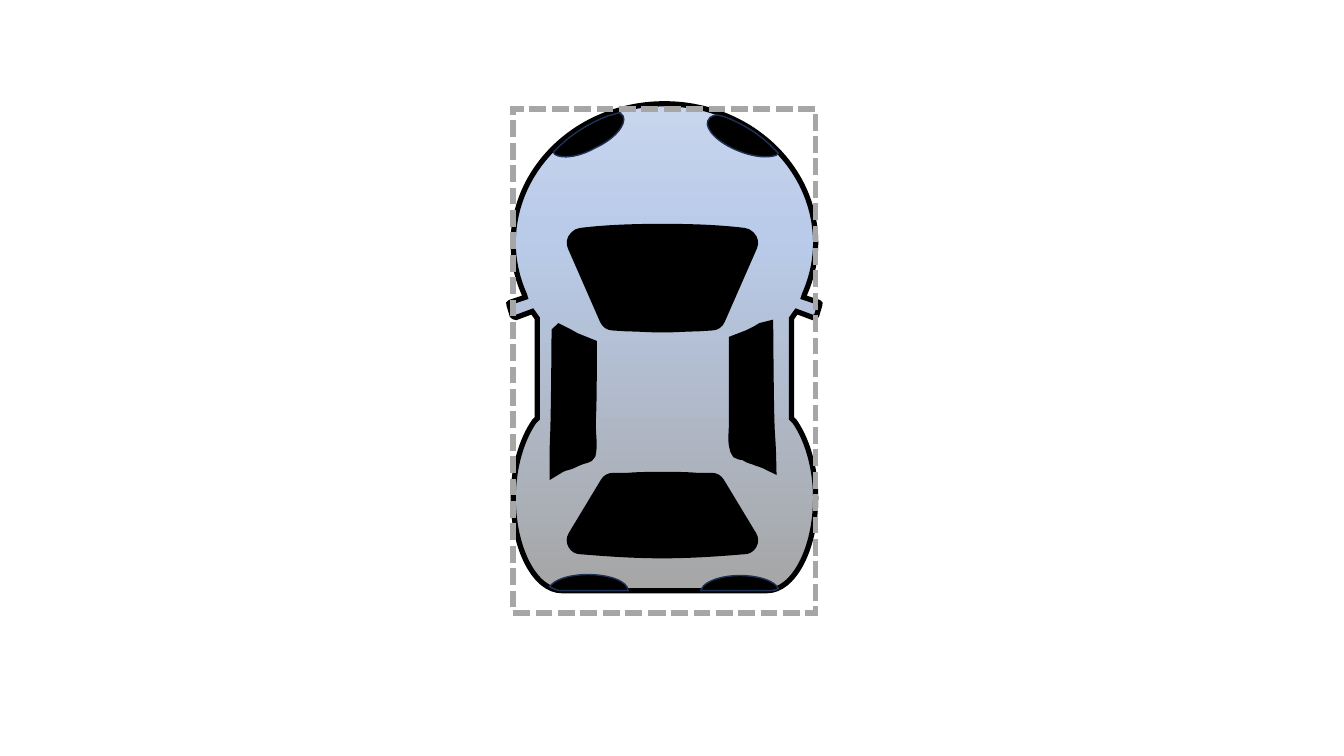
from copy import deepcopy
from dataclasses import dataclass

from lxml import etree
from pptx import Presentation
from pptx.dml.color import RGBColor
from pptx.enum.dml import MSO_LINE
from pptx.enum.shapes import MSO_SHAPE
from pptx.oxml.ns import qn
from pptx.util import Inches, Pt

RECTANGLE = MSO_SHAPE.RECTANGLE
SHORT_DASH = MSO_LINE.SQUARE_DOT


@dataclass(frozen=True)
class Theme:
    black: str = "000000"
    frame: str = "A6A6A6"
    light_edge: str = "1E3256"
    paint: tuple = ((0, "A6A6A6"), (0.73, "B9CBE9"), (1, "C7D5ED"))
    paint_angle: int = 90


def pairs(segment):
    return list(zip(segment[::2], segment[1::2]))


def symmetric(half, axis):
    """Close a half outline, running from axis to axis, with its mirror image."""
    points = [pairs(segment) for segment in half]
    outline = list(half)
    for previous, current in reversed(list(zip(points, points[1:]))):
        back = current[-2::-1] + [previous[-1]]
        outline.append(tuple(v for x, y in back for v in (2 * axis - x, y)))
    return outline


class CarSlide:
    def __init__(self, prs, theme):
        self.theme = theme
        self.shapes = prs.slides.add_slide(prs.slide_layouts[6]).shapes

    def outline(self, sp, color, width, join="miter"):
        sp.shadow.inherit = False
        sp.line.color.rgb = RGBColor.from_string(color)
        sp.line.width = Pt(width)
        ln = sp._element.spPr.find(qn("a:ln"))
        corner = etree.SubElement(ln, qn("a:" + join))
        if join == "miter":
            corner.set("lim", "800000")

    def curve(self, contours, color, width, join="miter"):
        builder = None
        for start, *segments in contours:
            x, y = map(Inches, start)
            if builder is None:
                builder = self.shapes.build_freeform(x, y)
            else:
                builder.move_to(x, y)
            points = [point for segment in segments for point in pairs(segment)]
            builder.add_line_segments([(Inches(px), Inches(py)) for px, py in points])
        sp = builder.convert_to_shape()
        steps = iter(list(sp._element.iter(qn("a:lnTo"))))
        for _, *segments in contours:
            for segment in segments:
                run = [next(steps) for _ in pairs(segment)]
                if len(run) == 3:
                    bezier = etree.Element(qn("a:cubicBezTo"))
                    run[0].addprevious(bezier)
                    for step in run:
                        bezier.append(step[0])
                        step.getparent().remove(step)
        sp.fill.solid()
        sp.fill.fore_color.rgb = RGBColor.from_string(self.theme.black)
        self.outline(sp, color, width, join)
        return sp

    def body(self, contour):
        sp = self.curve([contour], self.theme.black, 3.75)
        sp.fill.gradient()
        sp.fill.gradient_angle = self.theme.paint_angle
        stops = sp._element.spPr.find(".//" + qn("a:gsLst"))
        stops.append(deepcopy(stops[0]))
        for stop, (position, color) in zip(sp.fill.gradient_stops, self.theme.paint):
            stop.position = position
            stop.color.rgb = RGBColor.from_string(color)

    def frame(self, x, y, w, h):
        sp = self.shapes.add_shape(RECTANGLE, Inches(x), Inches(y), Inches(w), Inches(h))
        sp.fill.background()
        sp.line.dash_style = SHORT_DASH
        self.outline(sp, self.theme.frame, 4)

    def glass(self, contour):
        self.curve([contour], self.theme.black, 20, "round")

    def side_windows(self, contours):
        self.curve(contours, self.theme.black, 10)

    def lights(self, contours):
        self.curve(contours, self.theme.light_edge, 1)


BODY_AXIS = 6.59
GLASS_AXIS = 6.57

BODY_HALF = [
    (6.59, 1.03),
    (7.42, 1.03, 8.09, 1.65, 8.09, 2.41),
    (8.09, 2.59, 8.05, 2.76, 7.98, 2.92),
    (7.97, 2.95),
    (8.12, 3),
    (8.13, 3, 8.14, 3.02, 8.13, 3.03),
    (8.1, 3.13),
    (8.09, 3.14, 8.08, 3.15, 8.06, 3.15),
    (7.9, 3.09),
    (7.85, 3.16),
    (7.85, 4.15),
    (7.88, 4.18),
    (8, 4.35, 8.09, 4.63, 8.09, 4.94),
    (8.09, 5.45, 7.87, 5.86, 7.61, 5.86),
    (6.59, 5.86),
]
WINDSHIELD_HALF = [
    (6.57, 2.36),
    (6.86, 2.36, 7.13, 2.37, 7.37, 2.4),
    (7.38, 2.41),
    (7.06, 3.14),
    (6.91, 3.15),
    (6.8, 3.15, 6.69, 3.16, 6.57, 3.16),
]
REAR_WINDOW_HALF = [
    (6.57, 5.4),
    (6.86, 5.4, 7.13, 5.38, 7.37, 5.36),
    (7.38, 5.36),
    (7.06, 4.83),
    (6.91, 4.83),
    (6.8, 4.82, 6.69, 4.82, 6.57, 4.82),
]
SIDE_WINDOWS = [
    [
        (5.55, 3.29), (5.63, 3.33), (5.7, 3.37), (5.85, 3.43),
        (5.85, 3.67, 5.85, 4.01, 5.84, 4.18),
        (5.84, 4.36, 5.86, 4.4, 5.84, 4.5),
        (5.83, 4.53, 5.78, 4.53, 5.76, 4.54),
        (5.73, 4.55, 5.71, 4.56, 5.67, 4.58),
        (5.63, 4.6, 5.57, 4.6, 5.52, 4.64),
        (5.52, 4.17, 5.53, 4.66, 5.54, 3.3),
    ],
    [
        (7.6, 3.26),
        (7.61, 4.63, 7.62, 4.14, 7.63, 4.6),
        (7.58, 4.57, 7.52, 4.56, 7.48, 4.54),
        (7.44, 4.53, 7.42, 4.52, 7.39, 4.5),
        (7.36, 4.49, 7.32, 4.5, 7.31, 4.46),
        (7.28, 4.36, 7.3, 4.33, 7.3, 4.15),
        (7.3, 3.97, 7.3, 3.63, 7.3, 3.39),
        (7.43, 3.34), (7.51, 3.3), (7.56, 3.27),
    ],
]
HEADLIGHTS = [
    [
        (7.11, 1.14), (7.19, 1.16),
        (7.37, 1.23, 7.53, 1.33, 7.66, 1.46),
        (7.72, 1.52), (7.7, 1.54),
        (7.62, 1.57, 7.48, 1.56, 7.33, 1.5),
        (7.12, 1.42, 6.99, 1.28, 7.02, 1.2),
        (7.03, 1.17, 7.05, 1.16, 7.07, 1.15),
    ],
    [
        (6.14, 1.12), (6.15, 1.12),
        (6.16, 1.13, 6.17, 1.14, 6.18, 1.15),
        (6.22, 1.23, 6.1, 1.38, 5.9, 1.47),
        (5.74, 1.56, 5.57, 1.58, 5.5, 1.53),
        (5.49, 1.51), (5.56, 1.44),
        (5.69, 1.32, 5.85, 1.22, 6.03, 1.15),
    ],
]
TAIL_LIGHTS = [
    [
        (7.34, 5.71),
        (7.5, 5.71, 7.64, 5.75, 7.7, 5.81),
        (7.72, 5.84),
        (7.69, 5.86, 7.65, 5.86, 7.62, 5.86),
        (6.95, 5.86), (6.96, 5.84),
        (6.99, 5.77, 7.15, 5.71, 7.34, 5.71),
    ],
    [
        (5.83, 5.7),
        (6.05, 5.7, 6.23, 5.77, 6.23, 5.86),
        (5.59, 5.86),
        (5.55, 5.86, 5.52, 5.86, 5.49, 5.84),
        (5.45, 5.82), (5.47, 5.8),
        (5.53, 5.74, 5.67, 5.7, 5.83, 5.7),
    ],
]

prs = Presentation()
prs.slide_width, prs.slide_height = Inches(13.33), Inches(7.5)
s = CarSlide(prs, Theme())
s.body(symmetric(BODY_HALF, BODY_AXIS))
s.frame(5.09, 1.08, 3, 5)
for half in (WINDSHIELD_HALF, REAR_WINDOW_HALF):
    s.glass(symmetric(half, GLASS_AXIS))
s.side_windows(SIDE_WINDOWS)
for contours in (HEADLIGHTS, TAIL_LIGHTS):
    s.lights(contours)
prs.save("out.pptx")
